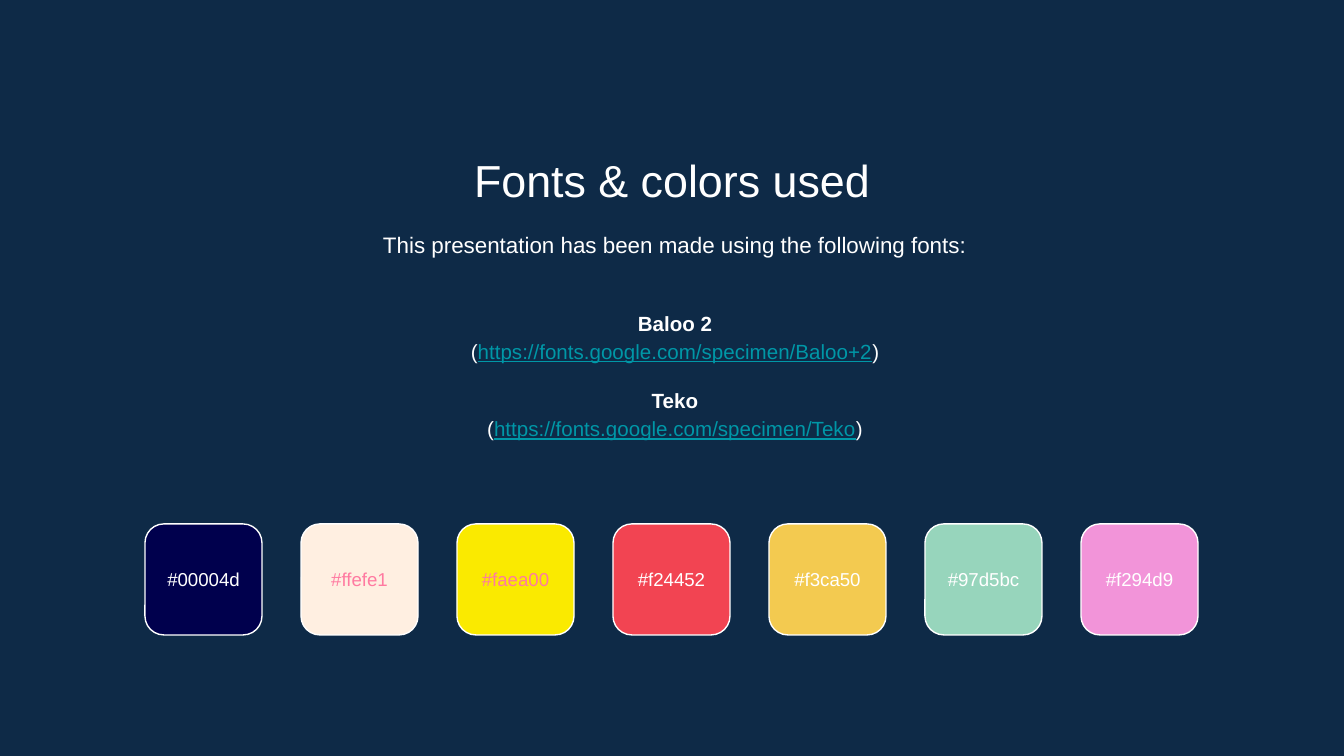
from dataclasses import dataclass

from pptx import Presentation
from pptx.dml.color import RGBColor
from pptx.enum.shapes import MSO_SHAPE
from pptx.enum.text import MSO_ANCHOR as Anchor, PP_ALIGN as Align
from pptx.slide import Slide
from pptx.text.text import TextFrame, _Paragraph as Paragraph
from pptx.util import Emu, Pt

PX_PER_INCH = 134.4
FONT = "Arial"
NAVY, WHITE, PINK, TEAL = "0E2A47", "FFFFFF", "FF7AA1", "0097A7"
SWATCH_LEFT, SWATCH_TOP, SWATCH_W, SWATCH_H, SWATCH_STEP = 145, 524, 117, 111, 156


@dataclass(frozen=True)
class Swatch:
    fill: str
    label_color: str = WHITE


@dataclass(frozen=True)
class FontCredit:
    name: str
    url: str


SWATCHES = [
    Swatch("00004d"),
    Swatch("ffefe1", PINK),
    Swatch("faea00", PINK),
    Swatch("f24452"),
    Swatch("f3ca50"),
    Swatch("97d5bc"),
    Swatch("f294d9"),
]
CREDITS = [
    FontCredit("Baloo 2", "https://fonts.google.com/specimen/Baloo+2"),
    FontCredit("Teko", "https://fonts.google.com/specimen/Teko"),
]


def px(n: int) -> Emu:
    return Emu(round(n * 914400 / PX_PER_INCH))


def rgb(color: str) -> RGBColor:
    return RGBColor.from_string(color.upper())


def add_run(p: Paragraph, text: str, *, size: int, color: str = WHITE,
            bold: bool = False, underline: bool = False) -> None:
    r = p.add_run()
    r.text = text
    r.font.name = FONT
    r.font.size = Pt(size)
    r.font.bold = bold
    r.font.underline = underline
    r.font.color.rgb = rgb(color)


def set_frame(tf: TextFrame, *, inset: int, anchor: Anchor, wrap: bool = True) -> None:
    tf.word_wrap = wrap
    tf.vertical_anchor = anchor
    tf.margin_left = tf.margin_right = tf.margin_top = tf.margin_bottom = px(inset)


def add_box(s: Slide, x: int, y: int, w: int, h: int, anchor: Anchor = Anchor.TOP) -> TextFrame:
    tf = s.shapes.add_textbox(px(x), px(y), px(w), px(h)).text_frame
    set_frame(tf, inset=13, anchor=anchor)
    return tf


def add_line(tf: TextFrame, *, first: bool = False, spacing: float = 1.15,
             before: int = 0) -> Paragraph:
    """Return a centred paragraph, reusing the frame's own one when it is the first."""
    p = tf.paragraphs[0] if first else tf.add_paragraph()
    p.alignment = Align.CENTER
    p.line_spacing = spacing
    p.space_before = Pt(before)
    return p


def add_credits(tf: TextFrame, credits: list[FontCredit]) -> None:
    for i, credit in enumerate(credits):
        p = add_line(tf, first=i == 0, before=11 if i else 0)
        add_run(p, credit.name, size=11, bold=True)
        p = add_line(tf)
        add_run(p, "(", size=11)
        add_run(p, credit.url, size=11, color=TEAL, underline=True)
        add_run(p, ")", size=11)


def add_swatch(s: Slide, swatch: Swatch, x: int) -> None:
    sp = s.shapes.add_shape(MSO_SHAPE.ROUNDED_RECTANGLE, px(x), px(SWATCH_TOP),
                            px(SWATCH_W), px(SWATCH_H))
    sp.shadow.inherit = False
    sp.adjustments[0] = 0.17
    sp.fill.solid()
    sp.fill.fore_color.rgb = rgb(swatch.fill)
    sp.line.color.rgb = rgb(WHITE)
    sp.line.width = Pt(0.75)
    set_frame(sp.text_frame, inset=0, anchor=Anchor.MIDDLE, wrap=False)
    p = add_line(sp.text_frame, first=True, spacing=1.0)
    add_run(p, f"#{swatch.fill}", size=10, color=swatch.label_color)


def main() -> None:
    prs = Presentation()
    prs.slide_width, prs.slide_height = px(1344), px(756)
    s = prs.slides.add_slide(prs.slide_layouts[6])
    s.background.fill.solid()
    s.background.fill.fore_color.rgb = rgb(NAVY)

    title = add_line(add_box(s, 154, 140, 1036, 71), first=True, spacing=1.0)
    add_run(title, "Fonts & colors used", size=24)
    intro = add_line(add_box(s, 157, 214, 1036, 64), first=True)
    add_run(intro, "This presentation has been made using the following fonts:", size=12)
    add_credits(add_box(s, 157, 282, 1036, 184, Anchor.MIDDLE), CREDITS)

    for i, swatch in enumerate(SWATCHES):
        add_swatch(s, swatch, SWATCH_LEFT + i * SWATCH_STEP)

    prs.save("out.pptx")


if __name__ == "__main__":
    main()
